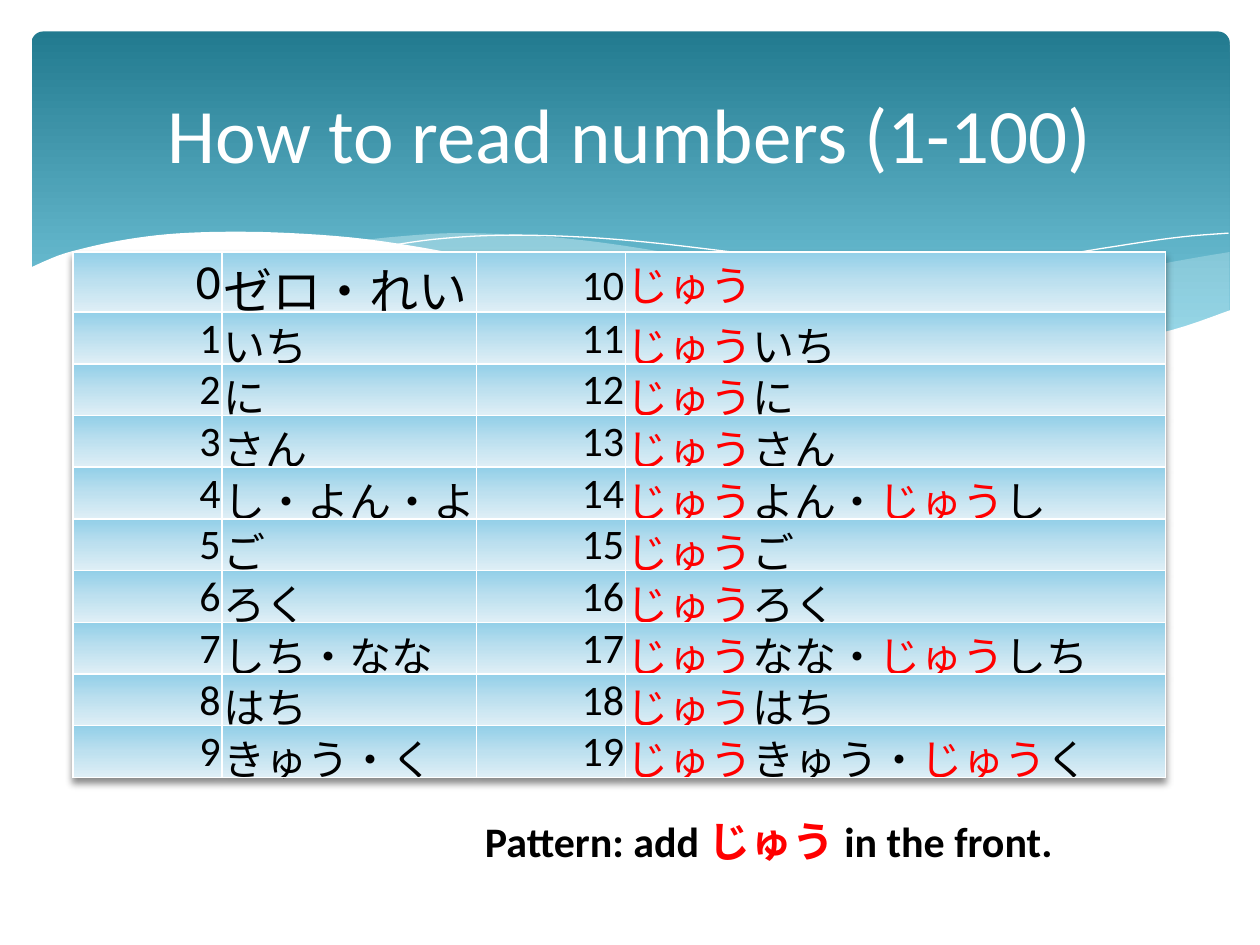
from dataclasses import dataclass

from lxml.etree import SubElement
from pptx import Presentation
from pptx.dml.color import RGBColor
from pptx.enum.shapes import MSO_SHAPE as Shape
from pptx.enum.text import MSO_ANCHOR as Anchor, PP_ALIGN as Align
from pptx.oxml.ns import qn
from pptx.util import Inches, Pt

COLUMNS, ROWS = 1000, 750
TEN = "じゅう"
READINGS = [
    ("ゼロ・れい", TEN),
    ("いち", TEN + "いち"),
    ("に", TEN + "に"),
    ("さん", TEN + "さん"),
    ("し・よん・よ", TEN + "よん・" + TEN + "し"),
    ("ご", TEN + "ご"),
    ("ろく", TEN + "ろく"),
    ("しち・なな", TEN + "なな・" + TEN + "しち"),
    ("はち", TEN + "はち"),
    ("きゅう・く", TEN + "きゅう・" + TEN + "く"),
]
RIGHT_WAVE = [
    [(976, 200), (935, 207), (891, 216), (832, 230), (779, 242), (729, 253), (661, 265)],
    [(661, 265), (705, 271), (757, 276), (803, 278), (854, 276), (897, 270), (935, 262), (976, 247)],
]
MIDDLE_WAVE = [
    [(893, 273), (837, 265), (775, 254), (706, 240), (629, 222), (569, 208), (514, 198),
     (465, 191), (420, 187), (361, 185), (313, 188), (286, 191)],
    [(286, 191), (342, 199), (404, 211), (449, 222), (530, 240), (601, 255), (665, 266),
     (722, 274), (773, 277), (818, 278), (857, 277), (893, 273)],
]
WHITE_WAVE = [
    [(977, 246), (930, 262), (875, 273), (823, 277), (761, 275), (688, 268), (603, 254),
     (529, 239), (447, 220), (365, 202), (292, 190), (230, 185), (177, 184), (132, 186),
     (95, 191), (67, 197), (46, 203), (23, 213)],
    [(23, 329), (977, 329)],
]
FALLING_LINE = [(309, 195), (344, 190), (387, 187), (433, 187), (489, 190), (556, 197),
                (636, 208), (727, 226), (831, 251), (907, 272)]
RISING_LINE = [(613, 257), (672, 241), (748, 223), (836, 204), (895, 194), (938, 188), (975, 185)]


@dataclass(frozen=True)
class Theme:
    """Colours, type sizes and font of the slide."""
    font: str = "Calibri"
    white: str = "FFFFFF"
    ink: str = "000000"
    accent: str = "FF0000"
    wave: str = "DEF5FA"
    banner: tuple = ((0, "227A8F"), (90, "7ACBE0"), (100, "7ACBE0"))
    cell: tuple = ((0, "92CFE8"), (50, "BDE0EF"), (100, "DFEFF6"))
    title_size: int = 44
    zero_size: int = 28
    body_size: int = 24


@dataclass(frozen=True)
class Box:
    """A region of the slide in inches."""
    left: float
    top: float
    width: float
    height: float

    def region(self, column, row, columns, rows):
        """Return the region that covers the given cells of the grid."""
        across, down = self.width / COLUMNS, self.height / ROWS
        return Box(self.left + column * across, self.top + row * down, columns * across, rows * down)

    def point(self, column, row):
        """Return a grid point in slide units."""
        spot = self.region(column, row, 0, 0)
        return Inches(spot.left), Inches(spot.top)

    def frame(self):
        """Return left, top, width and height in slide units."""
        return tuple(map(Inches, (self.left, self.top, self.width, self.height)))


THEME = Theme()


def fill_gradient(fill, props, stops):
    """Fill from top to bottom with the given stops."""
    fill.gradient()
    fill.gradient_angle = 270
    stop_list = props.find(qn("a:gradFill")).find(qn("a:gsLst"))
    stop_list.clear()
    for position, color in stops:
        stop = SubElement(stop_list, qn("a:gs"), pos=str(position * 1000))
        SubElement(stop, qn("a:srgbClr"), val=color)


def smooth(knots, steps=5):
    """Return points along a Catmull-Rom curve through the knots."""
    if len(knots) < 3:
        return knots
    ends = [knots[0], *knots, knots[-1]]
    points = [knots[0]]
    for a, b, c, d in zip(ends, ends[1:], ends[2:], ends[3:]):
        for step in range(1, steps + 1):
            t = step / steps
            points.append(tuple(
                q + t * (r - p + t * (2 * p - 5 * q + 4 * r - s + t * (3 * (q - r) + s - p))) / 2
                for p, q, r, s in zip(a, b, c, d)))
    return points


def draw_curve(page, box, curves, closed):
    """Draw the curves as one freeform."""
    points = [box.point(*spot) for curve in curves for spot in smooth(curve)]
    builder = page.shapes.build_freeform(*points[0])
    builder.add_line_segments(points[1:], close=closed)
    shape = builder.convert_to_shape()
    shape.shadow.inherit = False
    return shape


def draw_wave(page, box, curves, color, opacity):
    """Draw a filled wave."""
    wave = draw_curve(page, box, curves, True)
    wave.fill.solid()
    wave.fill.fore_color.rgb = RGBColor.from_string(color)
    wave.line.fill.background()
    if opacity < 100:
        tint = wave._element.spPr.find(qn("a:solidFill"))[0]
        SubElement(tint, qn("a:alpha"), val=str(opacity * 1000))


def draw_banner(page, box):
    """Draw the gradient banner and its waves."""
    banner = page.shapes.add_shape(Shape.ROUNDED_RECTANGLE, *box.region(25, 25, 951, 270).frame())
    banner.adjustments[0] = 0.034
    banner.shadow.inherit = False
    banner.line.fill.background()
    fill_gradient(banner.fill, banner._element.spPr, THEME.banner)
    draw_wave(page, box, RIGHT_WAVE, THEME.wave, 29)
    draw_wave(page, box, MIDDLE_WAVE, THEME.wave, 40)
    for knots in (FALLING_LINE, RISING_LINE):
        line = draw_curve(page, box, [knots], False)
        line.fill.background()
        line.line.color.rgb = RGBColor.from_string(THEME.white)
        line.line.width = Pt(0)
    draw_wave(page, box, WHITE_WAVE, THEME.white, 100)


def add_span(para, text, size, color, bold=False):
    """Add one run of text."""
    span = para.add_run()
    span.text = text
    span.font.name, span.font.size, span.font.bold = THEME.font, Pt(size), bold
    span.font.color.rgb = RGBColor.from_string(color)


def add_reading(para, text, size, bold=False):
    """Add text with every ten in the accent colour."""
    for index, piece in enumerate(text.split(TEN)):
        if index:
            add_span(para, TEN, size, THEME.accent, bold)
        if piece:
            add_span(para, piece, size, THEME.ink, bold)


def draw_title(page, box):
    """Place the centred title."""
    frame = page.shapes.add_textbox(*box.frame()).text_frame
    frame.word_wrap = True
    frame.vertical_anchor = Anchor.MIDDLE
    frame.paragraphs[0].alignment = Align.CENTER
    add_span(frame.paragraphs[0], "How to read numbers (1-100)", THEME.title_size, THEME.white)


def draw_note(page, box):
    """Place the note on the pattern."""
    frame = page.shapes.add_textbox(*box.frame()).text_frame
    frame.word_wrap = True
    add_reading(frame.paragraphs[0], f"Pattern: add {TEN} in the front.", THEME.body_size, True)


def style_cell(cell):
    """Set the margins, borders and gradient of a cell."""
    cell.margin_left = cell.margin_right = cell.margin_top = Inches(0.01)
    cell.margin_bottom = 0
    cell.vertical_anchor = Anchor.BOTTOM
    props = cell._tc.get_or_add_tcPr()
    for side in ("lnL", "lnR", "lnT", "lnB"):
        border = SubElement(props, qn(f"a:{side}"), w=str(Pt(1)))
        SubElement(SubElement(border, qn("a:solidFill")), qn("a:srgbClr"), val=THEME.white)
    fill_gradient(cell.fill, props, THEME.cell)


def draw_table(page, box):
    """Place the table of readings."""
    holder = page.shapes.add_table(len(READINGS), 4, *box.frame())
    table = holder.table
    table.first_row = table.horz_banding = False
    effects = table._tbl.tblPr.makeelement(qn("a:effectLst"))
    table._tbl.tblPr.insert(0, effects)
    shadow = SubElement(effects, qn("a:outerShdw"), blurRad="50800", dist="38100", dir="5400000")
    SubElement(SubElement(shadow, qn("a:srgbClr"), val=THEME.ink), qn("a:alpha"), val="45000")
    for column, share in zip(table.columns, (118, 202, 118, 428)):
        column.width = Inches(box.width * share / 866)
    for number, (unit, teen) in enumerate(READINGS):
        table.rows[number].height = Inches(0.31 if number else 0.33)
        unit_size = THEME.body_size if number else THEME.zero_size
        sizes = (unit_size, unit_size, THEME.body_size, THEME.body_size)
        texts = (str(number), unit, str(number + 10), teen)
        for index, (text, size) in enumerate(zip(texts, sizes)):
            cell = table.cell(number, index)
            style_cell(cell)
            para = cell.text_frame.paragraphs[0]
            para.alignment = Align.LEFT if index % 2 else Align.RIGHT
            add_reading(para, text, size)
    holder.height = Inches(box.height)


def main():
    """Build the slide and save it."""
    deck = Presentation()
    deck.slide_width, deck.slide_height = Inches(10), Inches(7.5)
    page = deck.slides.add_slide(deck.slide_layouts[6])
    whole = Box(0, 0, 10, 7.5)
    draw_banner(page, whole)
    draw_title(page, whole.region(50, 37, 900, 137))
    draw_note(page, whole.region(375, 642, 575, 50))
    draw_table(page, whole.region(58, 200, 867, 415))
    deck.save("out.pptx")


if __name__ == "__main__":
    main()
